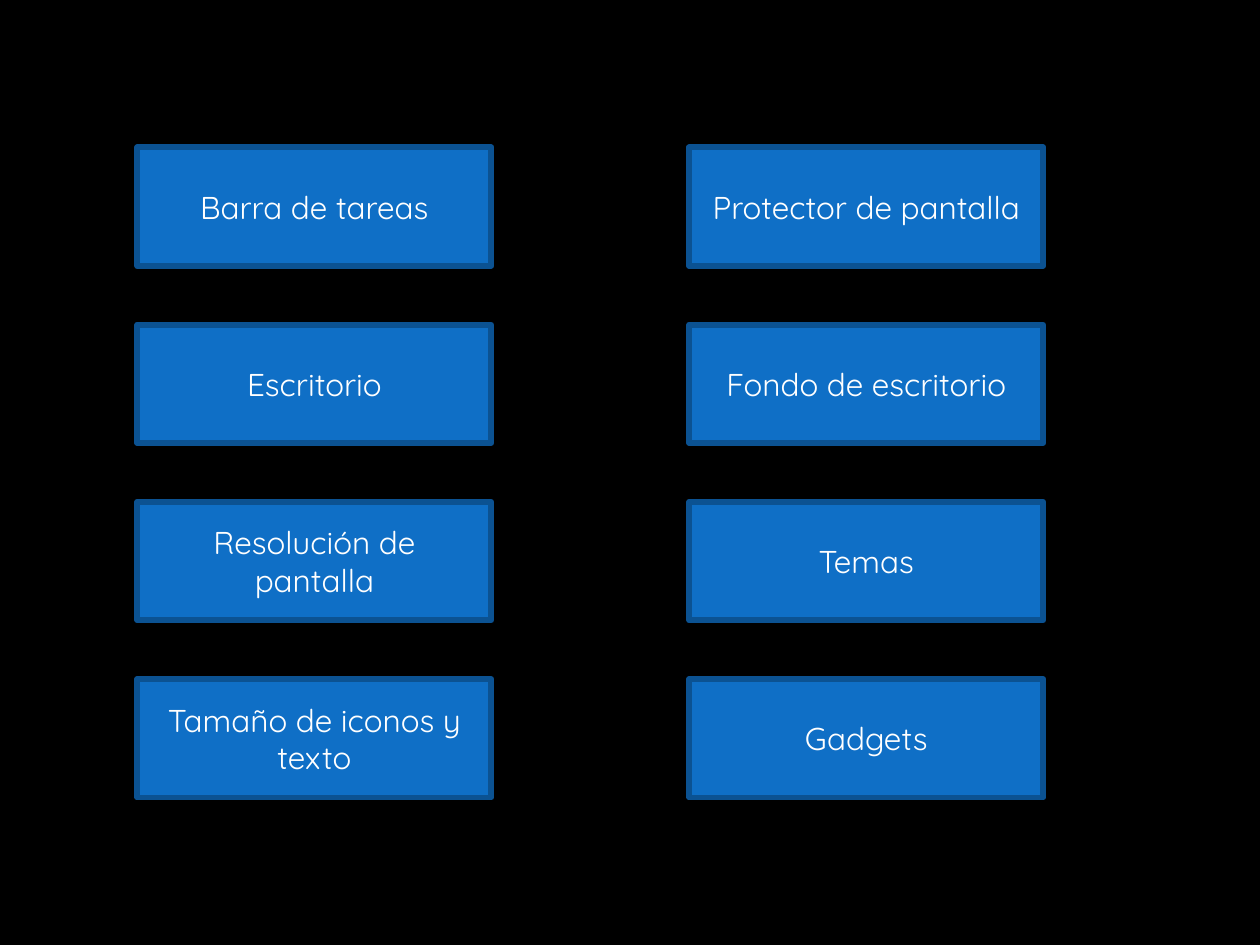
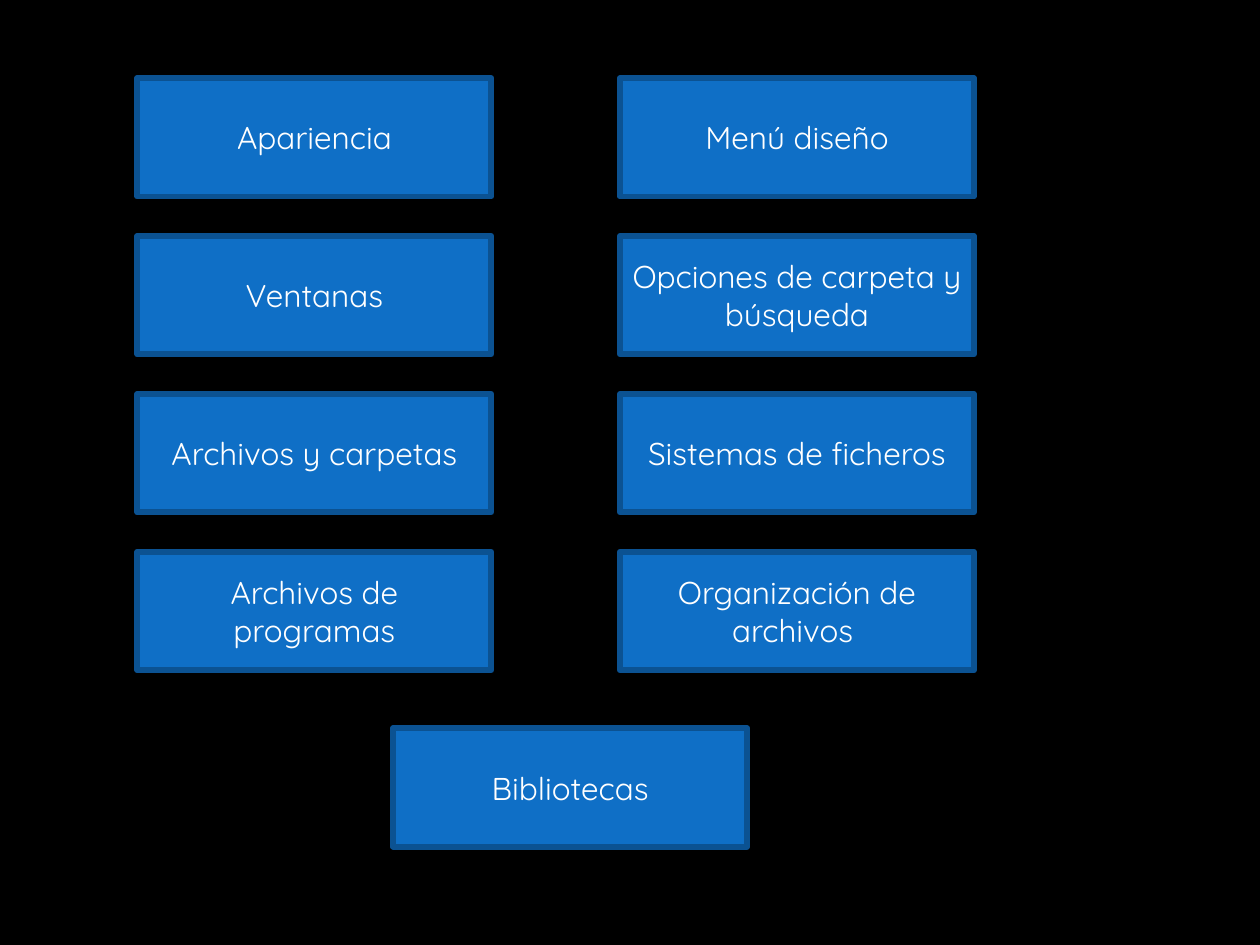
from pptx import Presentation
from pptx.dml.color import RGBColor as RGB
from pptx.enum.shapes import MSO_SHAPE as Shape
from pptx.enum.text import MSO_ANCHOR as Anchor, PP_ALIGN as Align
from pptx.util import Inches, Pt

# Shared look
hues = {"back": "000000", "fill": "0F6FC6", "edge": "0B5292", "text": "FFFFFF"}
style = {"name": "Quicksand", "size": Pt(18)}
wide, high = 2.81, 0.94
left = 1.09

# Topics: column lefts, first and last row tops, column labels, extra boxes
decks = [
    {
        "cols": [left, 5.47],
        "tops": (1.17, 5.39),
        "names": [
            ["Barra de tareas", "Escritorio", "Resolución de pantalla",
             "Tamaño de iconos y texto"],
            ["Protector de pantalla", "Fondo de escritorio", "Temas", "Gadgets"],
        ],
        "extra": [],
    },
    {
        "cols": [left, 4.92],
        "tops": (0.62, 4.38),
        "names": [
            ["Apariencia", "Ventanas", "Archivos y carpetas",
             "Archivos de programas"],
            ["Menú diseño", "Opciones de carpeta y búsqueda",
             "Sistemas de ficheros", "Organización de archivos "],
        ],
        "extra": [("Bibliotecas", 3.12, 5.78)],
    },
]


def add_box(slide, label, x, y):
    box = slide.shapes.add_shape(
        Shape.RECTANGLE, Inches(x), Inches(y), Inches(wide), Inches(high))
    box.shadow.inherit = False
    box.fill.solid()
    box.fill.fore_color.rgb = RGB.from_string(hues["fill"])
    box.line.color.rgb = RGB.from_string(hues["edge"])
    box.line.width = Pt(3.35)
    frame = box.text_frame
    frame.word_wrap = True
    frame.vertical_anchor = Anchor.MIDDLE
    para = frame.paragraphs[0]
    para.alignment = Align.CENTER
    run = para.add_run()
    run.text = label
    for key, value in style.items():
        setattr(run.font, key, value)
    run.font.color.rgb = RGB.from_string(hues["text"])


prs = Presentation()
prs.slide_width, prs.slide_height = Inches(10), Inches(7.5)

for deck in decks:
    # Black slide
    slide = prs.slides.add_slide(prs.slide_layouts[6])
    back = slide.background.fill
    back.solid()
    back.fore_color.rgb = RGB.from_string(hues["back"])

    # Two columns of evenly spaced boxes
    first, last = deck["tops"]
    for x, names in zip(deck["cols"], deck["names"]):
        step = (last - first) / (len(names) - 1)
        for row, label in enumerate(names):
            add_box(slide, label, x, first + row * step)

    # Box below the columns
    for label, x, y in deck["extra"]:
        add_box(slide, label, x, y)

prs.save("out.pptx")
